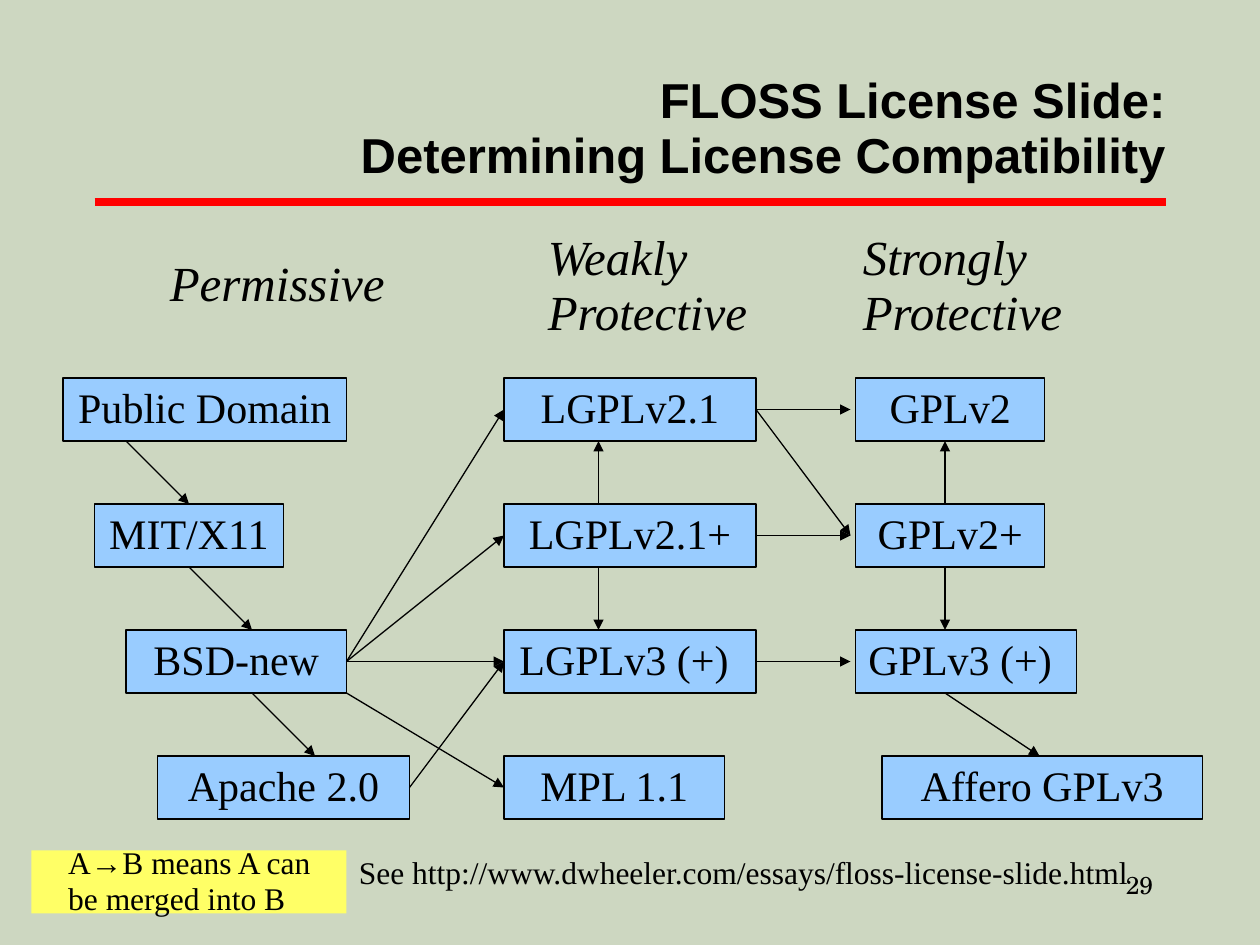
from typing import NamedTuple

from lxml import etree
from pptx import Presentation
from pptx import util as u
from pptx.dml.color import RGBColor
from pptx.enum import shapes, text
from pptx.oxml.ns import qn

PX = 9525  # 96 px to the inch
ROW_TOP, ROW_STEP, BOX_H = 288, 96, 48
SERIF = "Times New Roman"
BLACK = RGBColor(0x00, 0x00, 0x00)
RED = RGBColor(0xFF, 0x00, 0x00)
BLUE = RGBColor(0x99, 0xCC, 0xFF)
YELLOW = RGBColor(0xFF, 0xFF, 0x66)
SAGE = RGBColor(0xCD, 0xD7, 0xC1)
LEFT, CENTER, RIGHT = text.PP_ALIGN.LEFT, text.PP_ALIGN.CENTER, text.PP_ALIGN.RIGHT


class License(NamedTuple):
    name: str
    x: int
    row: int
    w: int
    left_inset: int = 8
    right_inset: int = 8


class Label(NamedTuple):
    words: str
    x: int
    y: int
    w: int
    h: int
    size: int
    italic: bool = False
    font: str = SERIF
    align: text.PP_ALIGN = LEFT


class Arrow(NamedTuple):
    x1: int
    y1: int
    x2: int
    y2: int


LICENSES = [
    License("Public Domain", 48, 0, 216),
    License("MIT/X11", 72, 1, 144),
    License("BSD-new", 96, 2, 168),
    License("Apache 2.0", 120, 3, 192),
    License("LGPLv2.1", 384, 0, 192),
    License("LGPLv2.1+", 384, 1, 192),
    License("LGPLv3 (+)", 384, 2, 192, 4, 13),
    License("MPL 1.1", 384, 3, 168),
    License("GPLv2", 652, 0, 144),
    License("GPLv2+", 652, 1, 144),
    License("GPLv3 (+)", 652, 2, 168, 4, 13),
    License("Affero GPLv3", 672, 3, 244),
]

LABELS = [
    Label("Permissive", 120, 192, 192, 51, 28, True),
    Label("Weakly\nProtective", 408, 172, 180, 92, 28, True),
    Label("Strongly\nProtective", 648, 172, 180, 92, 28, True),
    Label("See http://www.dwheeler.com/essays/floss-license-slide.html",
          264, 648, 616, 36, 18),
    Label("29", 728, 660, 160, 32, 14, False, "TeX Gyre Schola", RIGHT),
]


def mid(row: int) -> int:
    return ROW_TOP + row * ROW_STEP + BOX_H // 2


def gap(row: int) -> tuple[int, int]:
    """Bottom of a row and top of the next one."""
    return ROW_TOP + row * ROW_STEP + BOX_H, ROW_TOP + (row + 1) * ROW_STEP


def arrows() -> list[Arrow]:
    found = []
    # Down the permissive staircase
    for row in range(3):
        top, bottom = gap(row)
        found.append(Arrow(96 + 48 * row, top, 144 + 48 * row, bottom))
    # BSD-new to each LGPL, and each LGPL to its GPL
    for row in range(3):
        found.append(Arrow(264, mid(2), 384, mid(row)))
        found.append(Arrow(576, mid(row), 648, mid(row)))
    # "Or later" versions up and down to the fixed versions
    for x in (456, 720):
        found.append(Arrow(x, gap(0)[1], x, gap(0)[0]))
        found.append(Arrow(x, gap(1)[0], x, gap(1)[1]))
    found += [
        Arrow(576, mid(0), 648, mid(1)),
        Arrow(312, mid(3), 384, mid(2)),
        Arrow(264, gap(2)[0], 384, mid(3)),
        Arrow(720, gap(2)[0], 792, gap(2)[1]),
    ]
    return found


def write(tf, words: str, size: int, font: str = SERIF, align=LEFT,
          bold: bool = False, italic: bool = False) -> None:
    tf.text = words
    for p in tf.paragraphs:
        p.alignment = align
        p.line_spacing = 0.93
        for r in p.runs:
            f = r.font
            f.name, f.size, f.bold, f.italic = font, u.Pt(size), bold, italic
            f.color.rgb = BLACK


def add_box(s, x: int, y: int, w: int, fill: RGBColor):
    sp = s.shapes.add_shape(shapes.MSO_SHAPE.ROUNDED_RECTANGLE,
                            x * PX, y * PX, w * PX, BOX_H * PX)
    sp.adjustments[0] = 0.0
    sp.shadow.inherit = False
    sp.fill.solid()
    sp.fill.fore_color.rgb = fill
    sp.text_frame.vertical_anchor = text.MSO_ANCHOR.MIDDLE
    return sp


def add_license(s, lic: License) -> None:
    sp = add_box(s, lic.x, ROW_TOP + lic.row * ROW_STEP, lic.w, BLUE)
    sp.line.color.rgb = BLACK
    sp.line.width = u.Pt(0.75)
    sp.text_frame.margin_left = lic.left_inset * PX
    sp.text_frame.margin_right = lic.right_inset * PX
    write(sp.text_frame, lic.name, 24, align=CENTER)


def add_label(s, lab: Label) -> None:
    tb = s.shapes.add_textbox(lab.x * PX, lab.y * PX, lab.w * PX, lab.h * PX)
    tb.text_frame.word_wrap = True
    write(tb.text_frame, lab.words, lab.size, lab.font, lab.align, italic=lab.italic)


def add_line(s, a: Arrow, color: RGBColor, width: float, head: bool = True) -> None:
    c = s.shapes.add_connector(shapes.MSO_CONNECTOR.STRAIGHT,
                               a.x1 * PX, a.y1 * PX, a.x2 * PX, a.y2 * PX)
    c.line.color.rgb = color
    c.line.width = u.Pt(width)
    if head:
        etree.SubElement(c.line._get_or_add_ln(), qn("a:tailEnd"), type="triangle")
    etree.SubElement(c._element.spPr, qn("a:effectLst"))


def main() -> None:
    prs = Presentation()
    prs.slide_width, prs.slide_height = 960 * PX, 720 * PX
    s = prs.slides.add_slide(prs.slide_layouts[5])
    s.background.fill.solid()
    s.background.fill.fore_color.rgb = SAGE

    # Title and rule
    title = s.shapes.title
    title.left, title.top, title.width, title.height = (
        216 * PX, 55 * PX, 672 * PX, 88 * PX)
    tf = title.text_frame
    tf.margin_left = tf.margin_top = tf.margin_right = tf.margin_bottom = 0
    tf.vertical_anchor = text.MSO_ANCHOR.MIDDLE
    tf.auto_size = text.MSO_AUTO_SIZE.NONE
    write(tf, "FLOSS License Slide:\vDetermining License Compatibility",
          28, "Arial", RIGHT, bold=True)
    add_line(s, Arrow(72, 154, 888, 154), RED, 5, head=False)

    # Licenses, headings and arrows
    for lic in LICENSES:
        add_license(s, lic)
    for lab in LABELS:
        add_label(s, lab)
    for a in arrows():
        add_line(s, a, BLACK, 0.75)

    # Legend
    legend = add_box(s, 24, 648, 240, YELLOW)
    legend.line.fill.background()
    legend.text_frame.margin_left = 28 * PX
    write(legend.text_frame, "A→B means A can\vbe merged into B", 18)

    prs.save("out.pptx")


if __name__ == "__main__":
    main()
